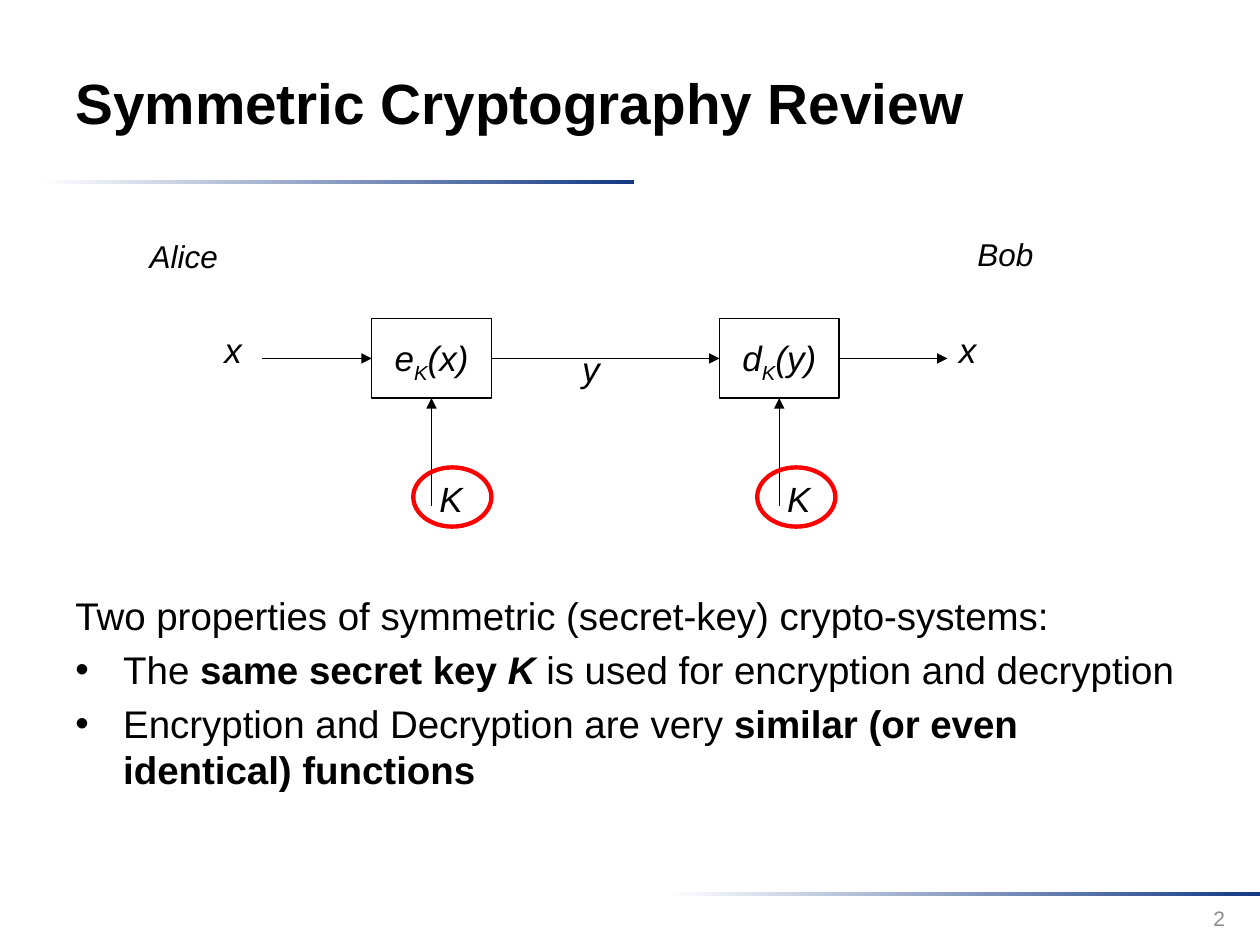
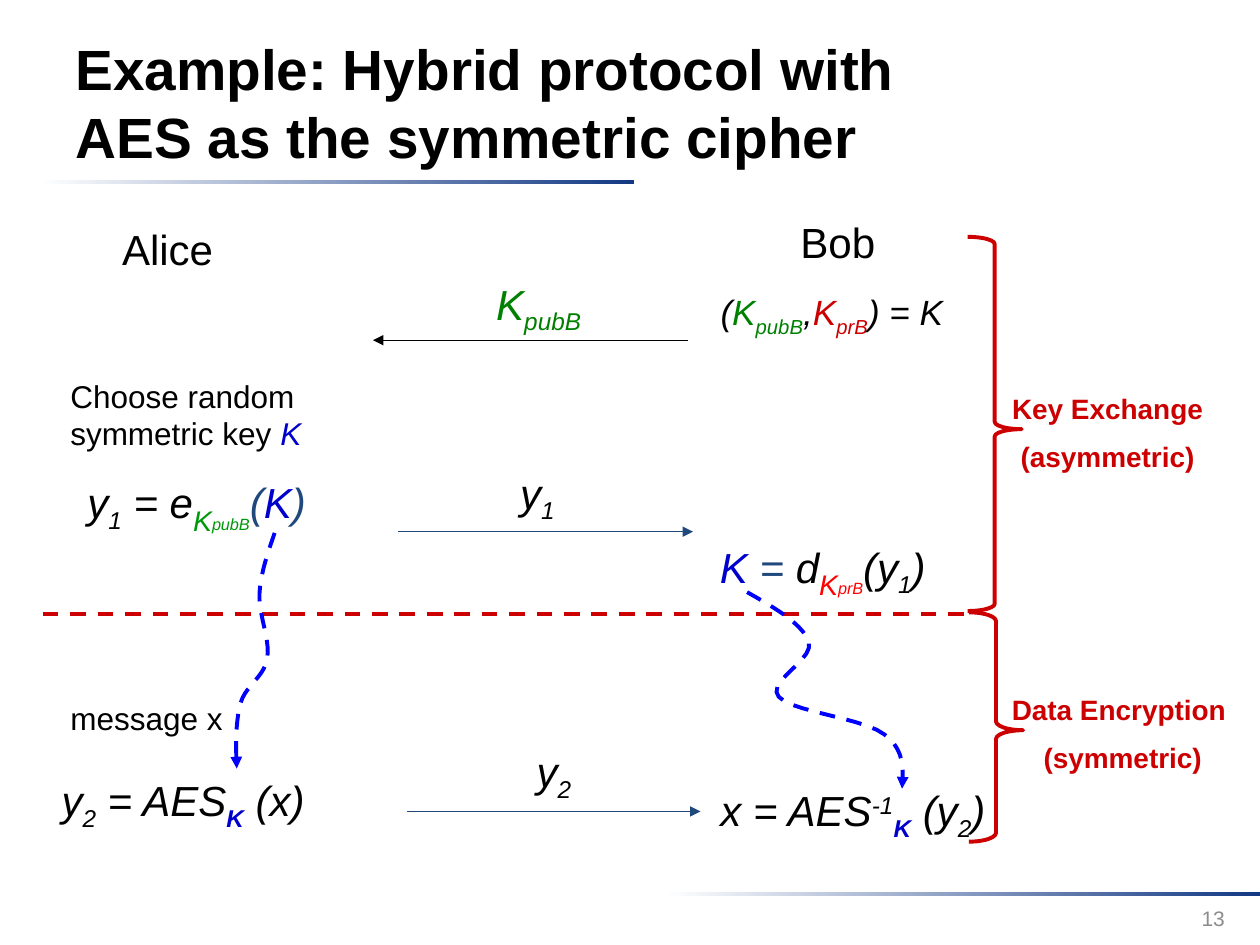
from lxml.etree import SubElement
from pptx import Presentation
from pptx.dml.color import RGBColor
from pptx.enum.dml import MSO_LINE_DASH_STYLE as DASH
from pptx.enum.shapes import MSO_CONNECTOR as CONNECTOR, MSO_SHAPE as SHAPE
from pptx.enum.text import MSO_ANCHOR as ANCHOR, PP_ALIGN as ALIGN
from pptx.oxml.ns import qn
from pptx.util import Inches, Pt

FONT = "Arial"
BLACK, NAVY, GREY, STEEL = "000000", "133984", "8C8C8C", "1F497D"
RED, CRIMSON, BLUE, KEY_BLUE = "FF0000", "CC0000", "0000FF", "0000CC"
GREEN, LEAF = "008000", "00980B"
SUB = {"base": -25}
BOLD = {"bold": True}
KEY_SUB = {"color": KEY_BLUE, "bold": True, "base": -25}

hex_color = RGBColor.from_string

prs = Presentation()
prs.slide_width, prs.slide_height = Inches(10), Inches(7.5)

# Grid of 100 columns by 75 rows
COL = prs.slide_width / 100
ROW = prs.slide_height / 75


def write(slide, area, paragraphs, size, color=BLACK, italic=False, bold=False,
          align=ALIGN.LEFT, anchor=ANCHOR.TOP, inset=None, wrap=True,
          gap=0, leading=None):
    """Add a text box; a run is a string or a (string, options) pair."""
    left, top, width, height = area
    frame = slide.shapes.add_textbox(
        round(left * COL), round(top * ROW), round(width * COL), round(height * ROW)).text_frame
    frame.word_wrap, frame.vertical_anchor = wrap, anchor
    if inset is not None:
        frame.margin_left = frame.margin_right = inset
        frame.margin_top = frame.margin_bottom = inset
    for number, runs in enumerate(paragraphs):
        paragraph = frame.add_paragraph() if number else frame.paragraphs[0]
        paragraph.alignment = align
        if number:
            paragraph.space_before = Pt(gap)
        if leading:
            paragraph.line_spacing = leading
        for piece in runs:
            text, look = (piece, {}) if isinstance(piece, str) else piece
            run = paragraph.add_run()
            run.text = text
            run.font.name = FONT
            run.font.size = Pt(look.get("size", size))
            run.font.bold = look.get("bold", bold)
            run.font.italic = look.get("italic", italic)
            run.font.color.rgb = hex_color(look.get("color", color))
            if "base" in look:
                run._r.get_or_add_rPr().set("baseline", str(look["base"] * 1000))
    return frame


def stroke(outline, color, weight, dashed=False, arrow=False):
    """Style a line or an unfilled outline, without shadow."""
    outline.line.color.rgb = hex_color(color)
    outline.line.width = Pt(weight)
    if dashed:
        outline.line.dash_style = DASH.DASH
    if arrow:
        SubElement(outline.line._get_or_add_ln(), qn("a:tailEnd"), type="triangle")
    if hasattr(outline, "begin_x"):
        SubElement(outline._element.spPr, qn("a:effectLst"))
    else:
        outline.fill.background()
        outline.shadow.inherit = False


# Shared frame: title, gradient rules, slide number
slides = []
for title, page in [("Symmetric Cryptography Review", "2"),
                    ("Example: Hybrid protocol with AES as the symmetric cipher", "13")]:
    slide = prs.slides.add_slide(prs.slide_layouts[6])
    slides.append(slide)
    for left, top in [(3.1, 14.3), (52.8, 70.8)]:
        rule = slide.shapes.add_shape(SHAPE.RECTANGLE, round(left * COL), round(top * ROW),
                                      round(47.2 * COL), round(0.3 * ROW))
        rule.shadow.inherit = False
        rule.line.fill.background()
        rule.fill.gradient()
        rule.fill.gradient_angle = 0
        for stop, color, position in zip(rule.fill.gradient_stops, ("FFFFFF", NAVY), (0, 1)):
            stop.color.rgb = hex_color(color)
            stop.position = position
    write(slide, (5, 1.8, 77.3, 12.5), [[title]], 32.4, bold=True, anchor=ANCHOR.MIDDLE)
    write(slide, (74.9, 70.9, 23.3, 4), [[page]], 12, GREY,
          align=ALIGN.RIGHT, anchor=ANCHOR.MIDDLE)
review, hybrid = slides

# Review: the two properties
properties = write(review, (5, 46.5, 90, 20.5), [
    ["Two properties of symmetric (secret-key) crypto-systems:"],
    ["The ", ("same secret key ", BOLD), ("K ", {"bold": True, "italic": True}),
     "is used for encryption and decryption"],
    ["Encryption and Decryption are very ", ("similar (or even identical) functions", BOLD)],
], 22, gap=4.4)
for paragraph in properties.paragraphs[1:]:
    layout = paragraph._p.get_or_add_pPr()
    layout.set("marL", str(Inches(0.38)))
    layout.set("indent", str(-Inches(0.38)))
    SubElement(layout, qn("a:buFont"), typeface=FONT)
    SubElement(layout, qn("a:buChar"), char="•")

# Review: cipher boxes, each with its key arrow
BOX_W, BOX_H, BOX_TOP, FLOW = 9.5, 6.3, 25.3, 28.45
ciphers = []
for left, name, argument in [(29.5, "e", "(x)"), (57.1, "d", "(y)")]:
    cipher = review.shapes.add_shape(SHAPE.RECTANGLE, round(left * COL), round(BOX_TOP * ROW),
                                     round(BOX_W * COL), round(BOX_H * ROW))
    stroke(cipher, BLACK, 0.75)
    ciphers.append(cipher)
    write(review, (left, 26.7, BOX_W, 3.3), [[name, ("K", SUB), argument]], 20,
          italic=True, align=ALIGN.CENTER, inset=0)
    middle = round((left + BOX_W / 2) * COL)
    key_arrow = review.shapes.add_connector(CONNECTOR.STRAIGHT, middle, round(40.2 * ROW),
                                            middle, round((BOX_TOP + BOX_H) * ROW))
    key_arrow.end_connect(cipher, 2)
    stroke(key_arrow, BLACK, 0.75, arrow=True)

# Review: message flow through the boxes
encrypt, decrypt = ciphers
for start, end, source, target in [(20.8, 29.5, None, encrypt), (39, 57.1, encrypt, decrypt),
                                   (66.6, 75.2, decrypt, None)]:
    flow = review.shapes.add_connector(CONNECTOR.STRAIGHT, round(start * COL), round(FLOW * ROW),
                                       round(end * COL), round(FLOW * ROW))
    if source:
        flow.begin_connect(source, 3)
    if target:
        flow.end_connect(target, 1)
    stroke(flow, BLACK, 0.75, arrow=True)

# Review: symbols, parties and marked keys
for symbol, left, top in [("x", 16.9, 26.1), ("y", 45.3, 27.6), ("x", 75.2, 26.1),
                          ("K", 61.8, 37.9), ("K", 34.2, 37.9)]:
    write(review, (left, top, 3.2, 3.3), [[symbol]], 20, italic=True,
          align=ALIGN.CENTER, inset=0)
for party, left, top in [("Alice", 10.9, 18.3), ("Bob", 76.6, 18.2)]:
    write(review, (left, top, 12, 4), [[party]], 18, italic=True)
for left in (32.8, 60.1):
    key_mark = review.shapes.add_shape(SHAPE.OVAL, round(left * COL), round(37.1 * ROW),
                                       round(6.2 * COL), round(4.7 * ROW))
    stroke(key_mark, RED, 2.5)

# Hybrid: parties
write(hybrid, (1, 17.7, 24.6, 11.1), [["Alice"]], 24, align=ALIGN.CENTER, leading=0.9)
write(hybrid, (51.5, 17.8, 30, 3.9), [["Bob"]], 24.1, align=ALIGN.CENTER, leading=0.7)

# Hybrid: phase divider and message arrows
for start, end, row, color, weight, divider in [
        (3.4, 76.7, 48.7, CRIMSON, 2.25, True), (31.6, 55, 42.2, STEEL, 0.75, False),
        (32.3, 55.6, 64.4, STEEL, 0.75, False), (54.6, 29.6, 27, BLACK, 0.75, False)]:
    message = hybrid.shapes.add_connector(CONNECTOR.STRAIGHT, round(start * COL),
                                          round(row * ROW), round(end * COL), round(row * ROW))
    stroke(message, color, weight, dashed=divider, arrow=not divider)

# Hybrid: public-key formulas, centred on their place
for area, formula in [
    ((5.4, 37.4, 20.4, 5.1),
     ["y", ("1", SUB), " = e", ("K", {"size": 28, "color": LEAF, "base": -25}),
      ("pubB", {"size": 16, "color": LEAF, "base": -40}),
      ("(", {"color": STEEL}), ("K", {"color": KEY_BLUE}), (")", {"color": STEEL})]),
    ((55.7, 42.5, 19.2, 5.1),
     [("K", {"color": KEY_BLUE}), (" = ", {"color": STEEL}), "d",
      ("K", {"size": 28, "color": RED, "base": -25}),
      ("prB", {"size": 16, "color": RED, "base": -40}), "(y", ("1", SUB), ")"]),
]:
    write(hybrid, area, [formula], 24, italic=True, align=ALIGN.CENTER,
          anchor=ANCHOR.MIDDLE, wrap=False)

# Hybrid: message labels and symmetric formulas
for area, size, formula in [
    ((40.3, 36.6, 9, 5.1), 24, ["y", ("1", SUB)]),
    ((41.6, 58.7, 11.1, 5.1), 24, ["y", ("2", SUB)]),
    ((38.4, 21.6, 10, 5), 24,
     [("K", {"color": GREEN}), ("pubB", {"color": GREEN, "base": -25})]),
    ((56.2, 22.6, 24.2, 4.3), 20,
     ["(", ("K", {"color": GREEN}), ("pubB", {"color": GREEN, "base": -25}), ",",
      ("K", {"color": CRIMSON}), ("prB", {"color": CRIMSON, "base": -25}), ") = K"]),
    ((3.9, 61, 23.5, 5.1), 24, ["y", ("2", SUB), " = AES", ("K", KEY_SUB), " (x)"]),
    ((56.2, 61.8, 28, 5.1), 24,
     ["x = AES", ("-1", {"base": 30}), ("K", KEY_SUB), " (y", ("2", SUB), ")"]),
]:
    write(hybrid, area, [formula], size, italic=True)

# Hybrid: Alice's steps
write(hybrid, (4.6, 29.4, 22.8, 7.1),
      [["Choose random symmetric key ", ("K", {"color": KEY_BLUE, "italic": True})]], 18)
write(hybrid, (4.6, 55, 17.2, 4), [["message x"]], 18)

# Hybrid: phase braces with labels
for left, top, height, bend, label_area, label in [
    (76.8, 18.8, 29.7, 0.134, (79, 30.6, 17.8, 7.7), ("Key Exchange", "(asymmetric)")),
    (76.9, 48.6, 18.2, 0.162, (79.1, 54.5, 19.4, 7.7), ("Data Encryption", " (symmetric)")),
]:
    brace = hybrid.shapes.add_shape(SHAPE.RIGHT_BRACE, round(left * COL), round(top * ROW),
                                    round(4.3 * COL), round(height * ROW))
    brace.adjustments[0], brace.adjustments[1] = bend, 0.514
    stroke(brace, CRIMSON, 2.25)
    write(hybrid, label_area, [[line] for line in label], 16, CRIMSON, bold=True,
          align=ALIGN.CENTER, gap=8)

# Hybrid: key paths, cubic curves with two handles before each end point
STEPS = 10
for knots in [
    [(21.8, 42.3), (21.3, 43.8), (20.7, 45.4), (20.6, 47.1), (20.5, 48.8), (21.5, 50.8),
     (21.2, 52.3), (21, 53.7), (19.5, 54.4), (19.1, 55.8), (18.7, 57.3), (18.7, 59.1),
     (18.8, 61)],
    [(59.3, 47), (61.6, 48.3), (63.8, 49.6), (64.2, 51), (64.6, 52.4), (60.8, 54.1),
     (61.8, 55.3), (62.8, 56.5), (68.6, 57), (70.2, 58.3), (71.8, 59.5), (71.7, 61),
     (71.6, 62.6)],
]:
    points = []
    for first in range(0, len(knots) - 1, 3):
        curve = knots[first:first + 4]
        for step in range(1, STEPS + 1):
            t = step / STEPS
            shares = ((1 - t) ** 3, 3 * t * (1 - t) ** 2, 3 * t ** 2 * (1 - t), t ** 3)
            x, y = (sum(s * knot[axis] for s, knot in zip(shares, curve)) for axis in (0, 1))
            points.append((round(x * COL), round(y * ROW)))
    start_x, start_y = knots[0]
    outline = hybrid.shapes.build_freeform(round(start_x * COL), round(start_y * ROW))
    outline.add_line_segments(points, close=False)
    stroke(outline.convert_to_shape(), BLUE, 2.25, dashed=True, arrow=True)

prs.save("out.pptx")
